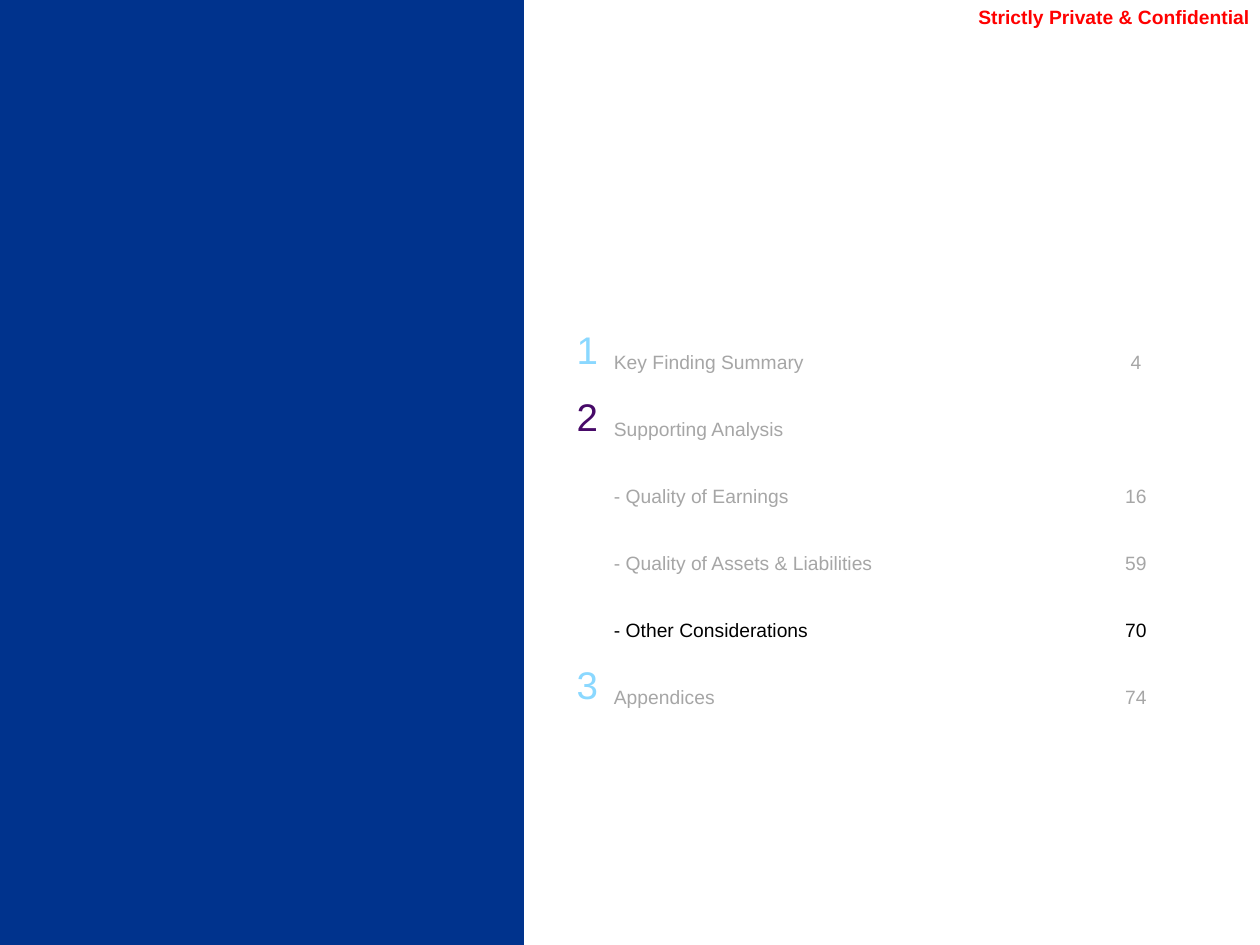
"""Build the contents slide: a blue side panel, a privacy mark and a table of sections."""
from pptx import Presentation
from pptx.dml.color import RGBColor as Rgb
from pptx.enum.shapes import MSO_SHAPE as Shape
from pptx.enum.text import MSO_ANCHOR as Anchor, MSO_AUTO_SIZE as Auto, PP_ALIGN as Align
from pptx.util import Emu, Pt

HUES = {"panel": "00338D", "mark": "FF0000", "num": "8AD8FF", "now": "470A68",
        "dim": "A6A6A6", "live": "000000"}
ROWS = [
    ("1", "Key Finding Summary", "4", "num", "dim"),
    ("2", "Supporting Analysis", "", "now", "dim"),
    ("", "- Quality of Earnings", "16", "num", "dim"),
    ("", "- Quality of Assets & Liabilities", "59", "num", "dim"),
    ("", "- Other Considerations", "70", "num", "live"),
    ("3", "Appendices", "74", "num", "dim"),
]
COLS = [
    {"width": 66, "size": 22, "align": Align.RIGHT, "pad": (11, 6, 11, 6)},
    {"width": 502, "size": 11, "align": Align.LEFT, "pad": (5, 28, 0, 6)},
    {"width": 50, "size": 11, "align": Align.CENTER, "pad": (11, 28, 11, 6)},
]
STEP = 67


def px(num):
    return Emu(round(num * 914400 / 126))


def put(item, **vals):
    for name, val in vals.items():
        setattr(item, name, val)


def pad(item, sizes):
    for side, size in zip(("left", "top", "right", "bottom"), sizes):
        setattr(item, f"margin_{side}", px(size))


def write(frame, text, size, hue, align, bold=False):
    para = frame.paragraphs[0]
    para.alignment = align
    run = para.add_run()
    run.text = text
    put(run.font, name="Arial", size=Pt(size), bold=bold)
    run.font.color.rgb = Rgb.from_string(HUES[hue])


def add_panel(slide, *box):
    panel = slide.shapes.add_shape(Shape.RECTANGLE, *map(px, box))
    panel.shadow.inherit = False
    panel.fill.solid()
    panel.fill.fore_color.rgb = Rgb.from_string(HUES["panel"])
    panel.line.fill.background()


def add_mark(slide, text, *box):
    frame = slide.shapes.add_textbox(*map(px, box)).text_frame
    put(frame, word_wrap=True, auto_size=Auto.SHAPE_TO_FIT_TEXT, vertical_anchor=Anchor.BOTTOM)
    pad(frame, (0, 5, 5, 5))
    write(frame, text, 11, "mark", Align.RIGHT, True)


def add_list(slide, left, top):
    wide = sum(col["width"] for col in COLS)
    box = map(px, (left, top, wide, STEP * len(ROWS)))
    table = slide.shapes.add_table(len(ROWS), len(COLS), *box).table
    put(table, first_row=False, horz_banding=False)
    for col, form in zip(table.columns, COLS):
        col.width = px(form["width"])
    for y, (num, title, page, tint, tone) in enumerate(ROWS):
        table.rows[y].height = px(STEP)
        for x, (text, hue) in enumerate(((num, tint), (title, tone), (page, tone))):
            cell, form = table.cell(y, x), COLS[x]
            cell.fill.background()
            if text:
                cell.vertical_anchor = Anchor.MIDDLE
                pad(cell, form["pad"])
                write(cell.text_frame, text, form["size"], hue, form["align"])


def main():
    deck = Presentation()
    put(deck, slide_width=px(1260), slide_height=px(945))
    slide = deck.slides.add_slide(deck.slide_layouts[6])
    add_panel(slide, 0, 0, 524, 945)
    add_mark(slide, "Strictly Private & Confidential", 940, -1, 315, 34)
    add_list(slide, 543, 318)
    deck.save("out.pptx")


if __name__ == "__main__":
    main()
